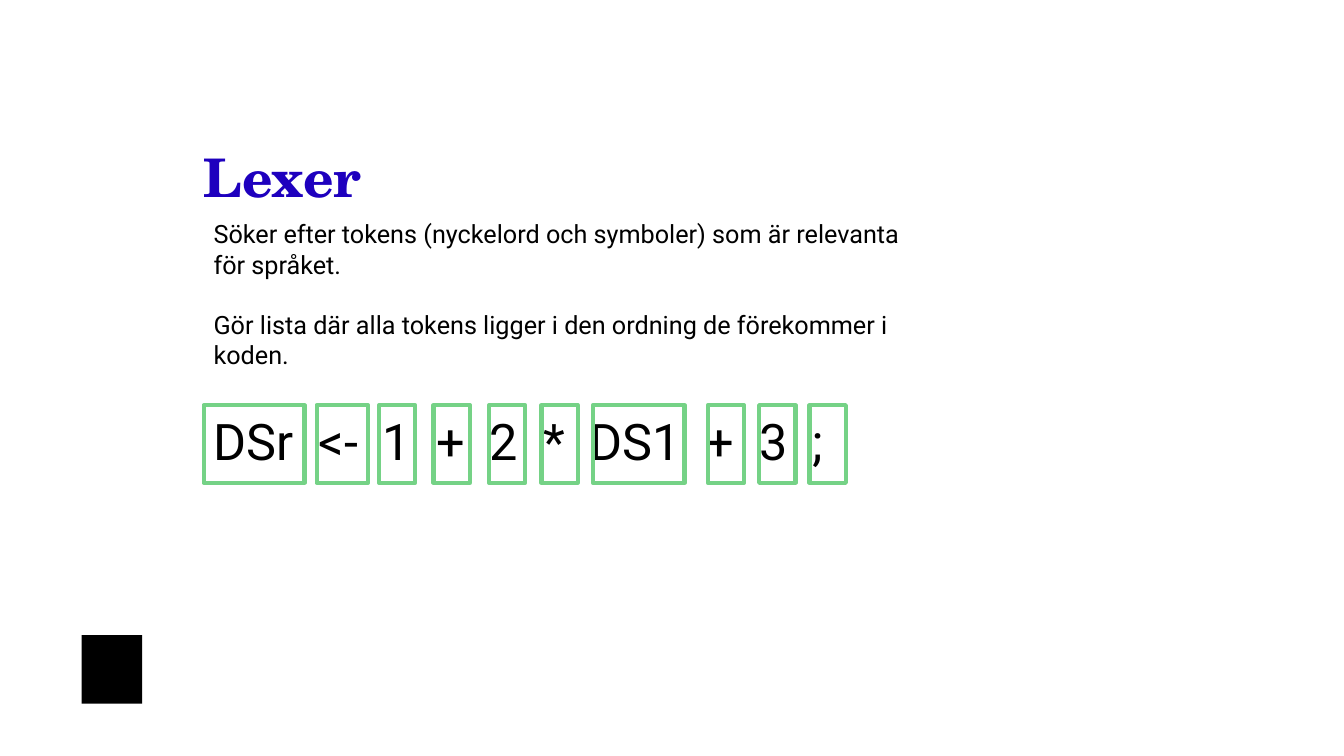
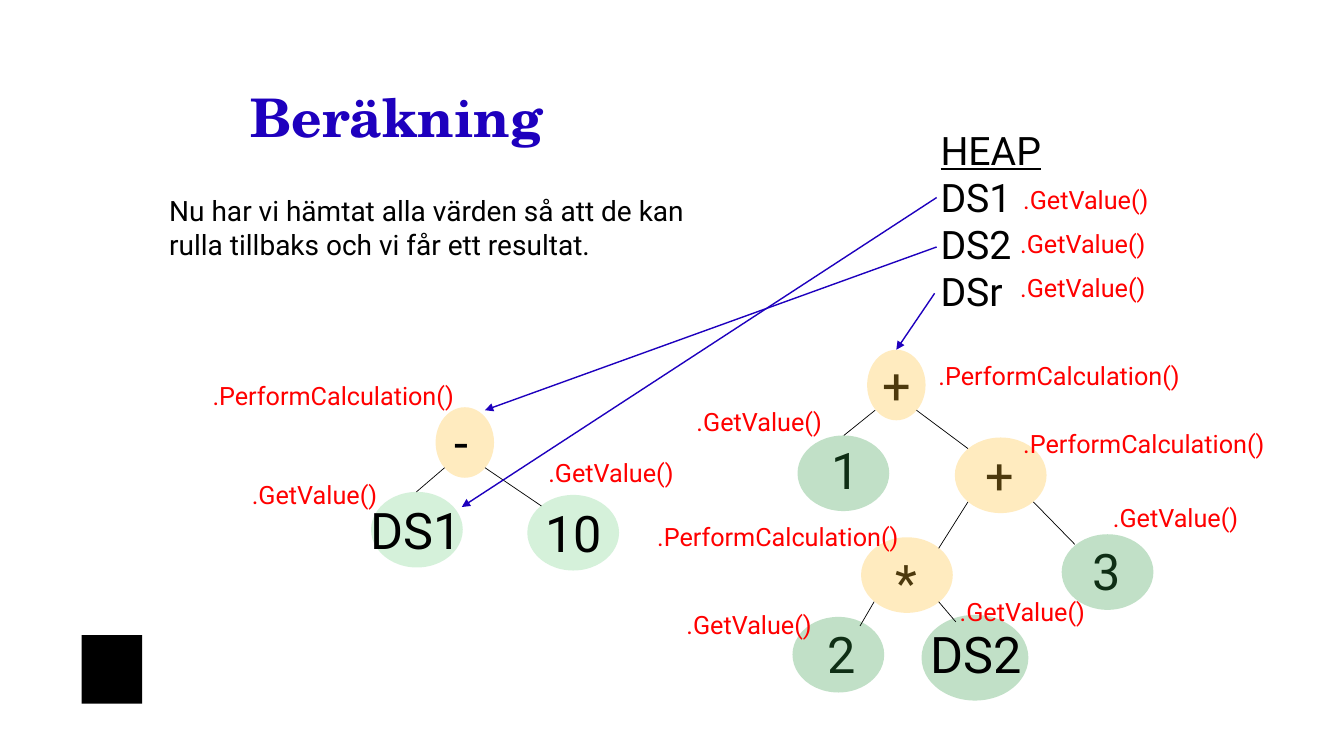
from lxml.etree import SubElement
from pptx import Presentation
from pptx.dml.color import RGBColor
from pptx.enum.shapes import MSO_CONNECTOR as Connector, MSO_SHAPE as Preset
from pptx.enum.text import MSO_ANCHOR as Anchor, MSO_AUTO_SIZE as AutoSize, PP_ALIGN as Align
from pptx.oxml.ns import qn
from pptx.util import Pt

PX = 9144  # 100 px to the inch
COLORS = {
    "title": "1E00BE",
    "ink": "000000",
    "token": "75D286",
    "call": "FF0000",
    "leaf": "75D286",
    "deep_leaf": "329B46",
    "operator": "FFBE2D",
}
TITLE_FONT, BODY_FONT = "TeX Gyre Schola", "Roboto"
GET, PERFORM = ".GetValue()", ".PerformCalculation()"
CALL_WIDTHS = {GET: 147, PERFORM: 264}


def px(*lengths):
    return [length * PX for length in lengths]


def rgb(name):
    return RGBColor.from_string(COLORS[name])


class Deck:
    def __init__(self):
        self.prs = Presentation()
        self.prs.slide_width, self.prs.slide_height = px(1333, 750)
        self.slide = None

    def new_slide(self, title, *box):
        self.slide = self.prs.slides.add_slide(self.prs.slide_layouts[5])
        self.shape(Preset.RECTANGLE, (81, 630, 60, 68), fill="ink")
        heading = self.slide.shapes.title
        heading.left, heading.top, heading.width, heading.height = px(*box)
        frame = heading.text_frame
        frame.margin_left = frame.margin_right = frame.margin_top = frame.margin_bottom = 0
        frame.auto_size, frame.word_wrap = AutoSize.NONE, True
        frame.vertical_anchor = Anchor.MIDDLE
        paragraph = frame.paragraphs[0]
        paragraph.alignment, paragraph.line_spacing = Align.LEFT, Pt(42)
        self.run(paragraph, title, 38, "title", TITLE_FONT).bold = True

    def run(self, paragraph, words, size, color="ink", family=BODY_FONT):
        """Add a run and return its font."""
        run = paragraph.add_run()
        run.text = words
        run.font.size, run.font.name = Pt(size), family
        run.font.color.rgb = rgb(color)
        return run.font

    def text(self, lines, box, size, color="ink", wrap=True, gap=0):
        """Add one paragraph a line, gap points apart; return the paragraphs."""
        frame = self.slide.shapes.add_textbox(*px(*box)).text_frame
        frame.word_wrap, frame.auto_size = wrap, AutoSize.SHAPE_TO_FIT_TEXT
        for index, line in enumerate(lines):
            paragraph = frame.add_paragraph() if index else frame.paragraphs[0]
            if index and gap:
                paragraph.space_before = Pt(gap)
            self.run(paragraph, line, size, color)
        return frame.paragraphs

    def token_line(self, tokens, stops, box):
        """Set the tokens on one line, each after the first at its tab stop."""
        paragraph = self.text(["\t".join(tokens)], box, 36)[0]
        tabs = SubElement(paragraph._p.get_or_add_pPr(), qn("a:tabLst"))
        for stop in stops:
            SubElement(tabs, qn("a:tab"), pos=str(stop * PX), algn="l")

    def shape(self, preset, box, fill=None, outline=None, opacity=100):
        shape = self.slide.shapes.add_shape(preset, *px(*box))
        shape.shadow.inherit = False
        if fill:
            shape.fill.solid()
            shape.fill.fore_color.rgb = rgb(fill)
            if opacity < 100:
                color = shape._element.spPr.find(qn("a:solidFill"))[0]
                SubElement(color, qn("a:alpha"), val=str(opacity * 1000))
        else:
            shape.fill.background()
        if outline:
            shape.line.color.rgb, shape.line.width = rgb(outline), Pt(3)
        else:
            shape.line.fill.background()

    def node(self, kind, ellipse, label, label_box, veiled=False):
        """Draw a tree node; a veiled label lies under its ellipse."""
        if veiled:
            self.text([label], (*label_box, 71), 36, wrap=False)
        self.shape(Preset.OVAL, ellipse, fill=kind, opacity=30)
        if not veiled:
            self.text([label], (*label_box, 71), 36, wrap=False)

    def call(self, name, left, top):
        self.text([name], (left, top, CALL_WIDTHS[name], 40), 18, "call", wrap=False)

    def line(self, ends, color="ink", width=0.5, arrow=False):
        line = self.slide.shapes.add_connector(Connector.STRAIGHT, *px(*ends))
        line.line.color.rgb, line.line.width = rgb(color), Pt(width)
        properties = line._element.spPr
        if arrow:
            SubElement(properties.find(qn("a:ln")), qn("a:tailEnd"), type="triangle")
        SubElement(properties, qn("a:effectLst"))


def lexer_slide(deck):
    deck.new_slide("Lexer", 202, 144, 528, 67)
    deck.token_line(
        ["DSr", "<-", "1", "+", "2", "*", "DS1", "+", "3", ";"],
        [104, 168, 221, 274, 327, 373, 488, 541, 594],
        (202, 402, 660, 71),
    )
    deck.text(
        ["Söker efter tokens (nyckelord och symboler) som är relevanta för språket.",
         "Gör lista där alla tokens ligger i den ordning de förekommer i koden."],
        (202, 212, 705, 162), 18, gap=21.6,
    )
    wide = {202: 100, 314: 51, 588: 91}
    for left in (202, 314, 376, 430, 485, 537, 588, 702, 753, 803):
        deck.shape(Preset.RECTANGLE, (left, 402, wide.get(left, 36), 77), outline="token")


def calculation_slide(deck):
    deck.new_slide("Beräkning", 248, 84, 313, 67)
    deck.text(
        ["Nu har vi hämtat alla värden så att de kan rulla tillbaks och vi får ett resultat."],
        (158, 187, 547, 77), 20,
    )
    heap = deck.text(["HEAP", "DS1", "DS2", "DSr"], (923, 120, 221, 199), 28)
    heap[0].runs[0].font.underline = True

    left_tree = [
        ("operator", (432, 404, 58, 70), "-", (441, 403, 34)),
        ("leaf", (368, 488, 91, 75), "DS1", (358, 490, 113)),
        ("leaf", (523, 491, 91, 75), "10", (531, 493, 77)),
    ]
    right_tree = [
        ("operator", (860, 347, 58, 70), "+", (865, 346, 49)),
        ("deep_leaf", (791, 432, 91, 75), "1", (815, 431, 49)),
        ("operator", (947, 434, 91, 75), "+", (968, 436, 49)),
        ("deep_leaf", (1053, 530, 91, 75), "3", (1074, 531, 49)),
        ("operator", (854, 533, 91, 75), "*", (878, 542, 42)),
        ("deep_leaf", (786, 612, 91, 75), "2", (811, 613, 49)),
    ]
    for node in left_tree:
        deck.node(*node)
    for node in right_tree:
        deck.node(*node, veiled=True)
    deck.node("deep_leaf", (914, 610, 106, 85), "DS2", (913, 613, 113))

    branches = [
        (441, 464, 413, 488), (481, 464, 537, 502),
        (868, 407, 837, 432), (909, 407, 960, 445),
        (960, 498, 931, 544), (1025, 498, 1066, 540),
        (867, 597, 853, 621), (931, 597, 948, 617),
    ]
    for branch in branches:
        deck.line(branch)
    heap_pointers = [(929, 196, 458, 503), (929, 245, 481, 407), (927, 291, 889, 347)]
    for pointer in heap_pointers:
        deck.line(pointer, "title", 1, arrow=True)

    calls = {
        GET: [(1005, 178), (1002, 222), (1002, 265), (681, 398), (1094, 493),
              (671, 600), (942, 587), (240, 471), (534, 449)],
        PERFORM: [(921, 353), (1005, 420), (642, 512), (201, 372)],
    }
    for name, places in calls.items():
        for place in places:
            deck.call(name, *place)


def main():
    deck = Deck()
    lexer_slide(deck)
    calculation_slide(deck)
    deck.prs.save("out.pptx")


if __name__ == "__main__":
    main()
